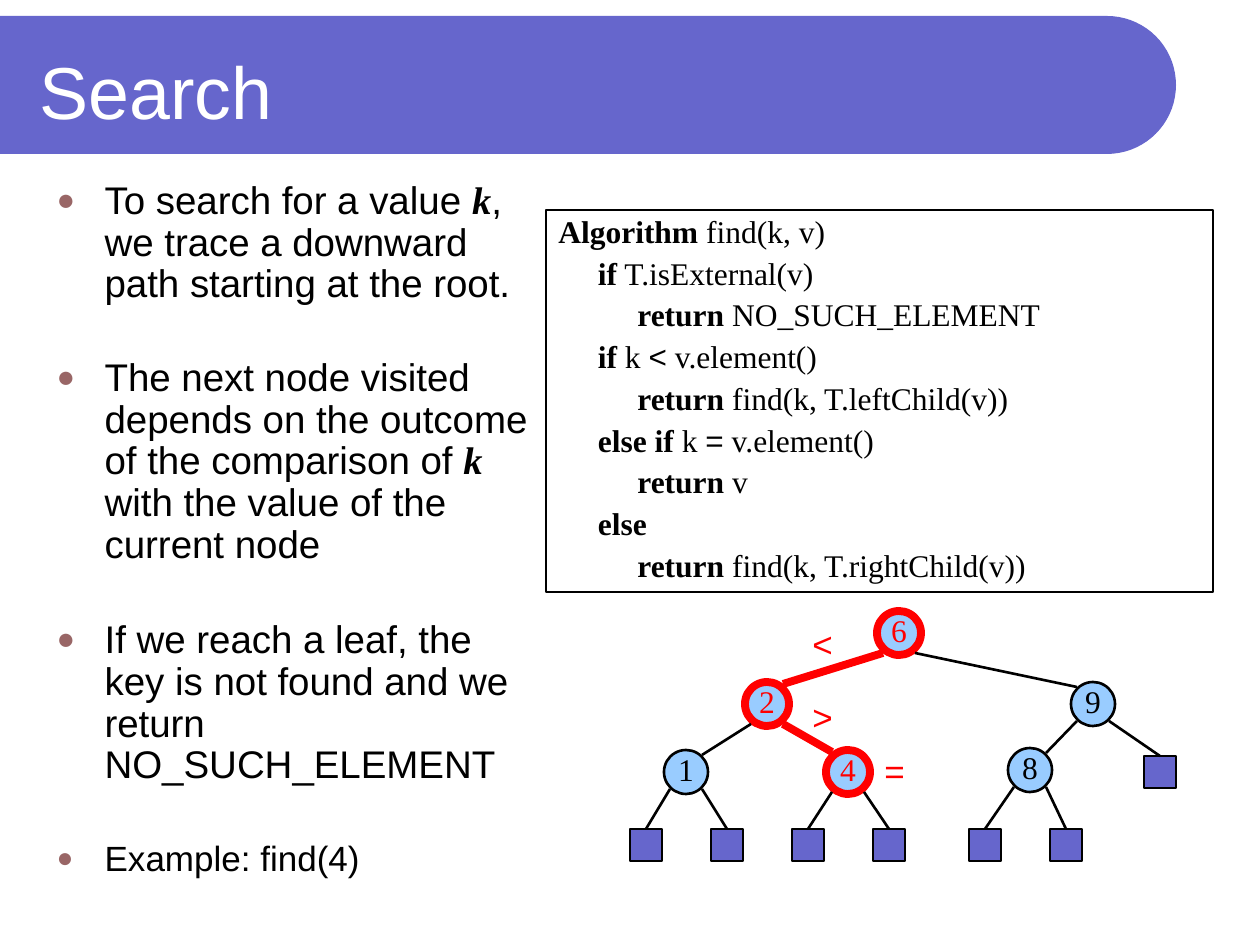
import math

from lxml import etree
from pptx import Presentation
from pptx import util as u
from pptx.dml.color import RGBColor
from pptx.enum import shapes, text
from pptx.oxml.ns import qn

COLORS = {
    "band": "6666CC",
    "node": "99CCFF",
    "path": "FF0000",
    "ink": "000000",
    "paper": "FFFFFF",
    "bullet": "996666",
}
SANS, SERIF = "Arial", "Times New Roman"
KEY = {"name": SERIF, "bold": True, "italic": True}
BOLD = {"bold": True}
SIGN = {"name": SANS}
RADIUS, LEAF, REACH = 22, 32, 16


def px(length):
    return u.Emu(round(length * 914400 / 126))


def rgb(name):
    return RGBColor.from_string(COLORS[name])


class SlideBuilder:
    def __init__(self, deck):
        self.page = deck.slides.add_slide(deck.slide_layouts[1])
        self.shapes = self.page.shapes

    def paint(self, shape, fill, line=None, weight=1.5):
        shape.shadow.inherit = False
        if fill:
            shape.fill.solid()
            shape.fill.fore_color.rgb = rgb(fill)
        else:
            shape.fill.background()
        if line:
            shape.line.color.rgb = rgb(line)
            shape.line.width = u.Pt(weight)
        else:
            shape.line.fill.background()

    def fill_para(self, para, spans, size, name=SANS, color="ink"):
        para.font.size = u.Pt(size)
        para.font.name = name
        para.font.color.rgb = rgb(color)
        for words, style in spans:
            span = para.add_run()
            span.text = words
            if "name" in style:
                span.font.name = style["name"]
            span.font.bold = style.get("bold")
            span.font.italic = style.get("italic")

    def place(self, shape, left, top, width, height):
        shape.left, shape.top = px(left), px(top)
        shape.width, shape.height = px(width), px(height)

    def band(self, right, top, radius):
        center = right - radius
        outline = self.shapes.build_freeform(0, px(top), scale=1.0)
        turns = [math.radians(angle) for angle in range(-90, 91, 5)]
        points = [
            (px(center + radius * math.cos(turn)), px(top + radius + radius * math.sin(turn)))
            for turn in turns
        ]
        outline.add_line_segments(points + [(0, px(top + 2 * radius))], close=True)
        shape = outline.convert_to_shape()
        self.paint(shape, "band")
        self.shapes._spTree.insert(2, shape._element)

    def title(self, words, *frame):
        box = self.shapes.title
        self.place(box, *frame)
        box.text_frame.auto_size = text.MSO_AUTO_SIZE.NONE
        box.text_frame.vertical_anchor = text.MSO_ANCHOR.MIDDLE
        para = box.text_frame.paragraphs[0]
        para.alignment = text.PP_ALIGN.LEFT
        self.fill_para(para, [(words, {})], 42, color="paper")

    def body(self, items, *frame):
        box = self.shapes.placeholders[1]
        self.place(box, *frame)
        box.text_frame.auto_size = text.MSO_AUTO_SIZE.NONE
        for index, (size, gap, spans) in enumerate(items):
            para = box.text_frame.paragraphs[0] if index == 0 else box.text_frame.add_paragraph()
            para.line_spacing = 0.9
            para.space_before = u.Pt(gap)
            props = para._p.get_or_add_pPr()
            props.set("marL", str(px(48)))
            props.set("indent", str(-px(48)))
            tint = etree.SubElement(props, qn("a:buClr"))
            etree.SubElement(tint, qn("a:srgbClr"), val=COLORS["bullet"])
            etree.SubElement(props, qn("a:buSzPct"), val="80000")
            etree.SubElement(props, qn("a:buChar"), char="●")
            self.fill_para(para, spans, size)

    def code(self, lines, *frame):
        box = self.shapes.add_shape(shapes.MSO_SHAPE.RECTANGLE, *map(px, frame))
        self.paint(box, None, "ink", 0.75)
        box.text_frame.word_wrap = True
        box.text_frame.vertical_anchor = text.MSO_ANCHOR.TOP
        for index, (depth, spans) in enumerate(lines):
            para = box.text_frame.paragraphs[0] if index == 0 else box.text_frame.add_paragraph()
            para.alignment = text.PP_ALIGN.LEFT
            para.line_spacing = 0.9
            para.space_before = u.Pt(4.4 if index else 0)
            para._p.get_or_add_pPr().set("marL", str(px(39.5 * depth)))
            self.fill_para(para, spans, 18, SERIF)

    def node(self, words, x, y, on_path):
        size = 2 * RADIUS
        shape = self.shapes.add_shape(
            shapes.MSO_SHAPE.OVAL, px(x - RADIUS), px(y - RADIUS), px(size), px(size)
        )
        color = "path" if on_path else "ink"
        self.paint(shape, "node", color, 4.5 if on_path else 1.5)
        frame = shape.text_frame
        frame.margin_left = frame.margin_top = frame.margin_right = 0
        frame.margin_bottom = px(6)
        frame.word_wrap = False
        frame.vertical_anchor = text.MSO_ANCHOR.MIDDLE
        frame.paragraphs[0].alignment = text.PP_ALIGN.CENTER
        self.fill_para(frame.paragraphs[0], [(words, {})], 18, SERIF, color)

    def leaf(self, x, y):
        shape = self.shapes.add_shape(
            shapes.MSO_SHAPE.RECTANGLE, px(x - LEAF / 2), px(y - LEAF / 2), px(LEAF), px(LEAF)
        )
        self.paint(shape, "band", "ink")
        return shape

    def edge(self, start, end, on_path=False):
        line = self.shapes.add_connector(shapes.MSO_CONNECTOR.STRAIGHT, *map(px, start + end))
        line.line.color.rgb = rgb("path" if on_path else "ink")
        line.line.width = u.Pt(4.5 if on_path else 1.5)
        etree.SubElement(line._element.spPr, qn("a:effectLst"))
        return line

    def sign(self, words, x, y):
        box = self.shapes.add_textbox(px(x - 22), px(y - 27), px(44), px(54))
        box.text_frame.word_wrap = False
        para = box.text_frame.paragraphs[0]
        para.alignment = text.PP_ALIGN.CENTER
        self.fill_para(para, [(words, {})], 20, color="path")


BULLETS = [
    (22, 0, [("To search for a value ", {}), ("k", KEY),
             (", we trace a downward path starting at the root.", {})]),
    (22, 30, [("The next node visited depends on the outcome of the comparison of ", {}),
              ("k", KEY), (" with the value of the current node", {})]),
    (22, 31, [("If we reach a leaf, the key is not found and we return NO_SUCH_ELEMENT", {})]),
    (20, 31, [("Example: find(4)", {})]),
]
ALGORITHM = [
    (0, [("Algorithm", BOLD), (" find(k, v)", {})]),
    (1, [("if", BOLD), (" T.isExternal(v)", {})]),
    (2, [("return", BOLD), (" NO_SUCH_ELEMENT", {})]),
    (1, [("if", BOLD), (" k ", {}), ("<", SIGN), (" v.element()", {})]),
    (2, [("return", BOLD), (" find(k, T.leftChild(v))", {})]),
    (1, [("else if", BOLD), (" k ", {}), ("=", SIGN), (" v.element()", {})]),
    (2, [("return", BOLD), (" v", {})]),
    (1, [("else", BOLD)]),
    (2, [("return", BOLD), (" find(k, T.rightChild(v))", {})]),
]
NODES = {"6": (899, 633), "2": (767, 704), "9": (1093, 704),
         "1": (686, 772), "4": (848, 772), "8": (1030, 770)}
PATH = "624"
BRANCHES = [("6", "2", -1), ("6", "9", 1), ("2", "1", -1), ("2", "4", 1), ("9", "8", -1)]
LEAVES = [("1", -1, 646, 845), ("1", 1, 727, 845), ("4", -1, 808, 845), ("4", 1, 889, 845),
          ("8", -1, 985, 845), ("8", 1, 1066, 845), ("9", 1, 1160, 772)]
SIGNS = [("<", 822, 643), (">", 822, 716), ("=", 894, 770)]


def port(key, side, direction):
    x, y = NODES[key]
    return x + side * REACH, y + direction * (20 if key in PATH else 17)


def main():
    deck = Presentation()
    deck.slide_width, deck.slide_height = px(1260), px(945)
    builder = SlideBuilder(deck)
    builder.band(1176, 16, 69)
    builder.title("Search", 27, 27, 1105, 126)
    builder.body(BULLETS, 44, 175, 502, 725)
    builder.code(ALGORITHM, 546, 210, 667, 382)
    for key, center in NODES.items():
        builder.node(key, *center, key in PATH)
    for parent, child, side in BRANCHES:
        on_path = parent in PATH and child in PATH
        builder.edge(port(parent, side, 1), port(child, -side, -1), on_path)
    for parent, side, x, y in LEAVES:
        leaf = builder.leaf(x, y)
        builder.edge(port(parent, side, 1), (x, y - LEAF // 2)).end_connect(leaf, 0)
    for sign in SIGNS:
        builder.sign(*sign)
    deck.save("out.pptx")


if __name__ == "__main__":
    main()
